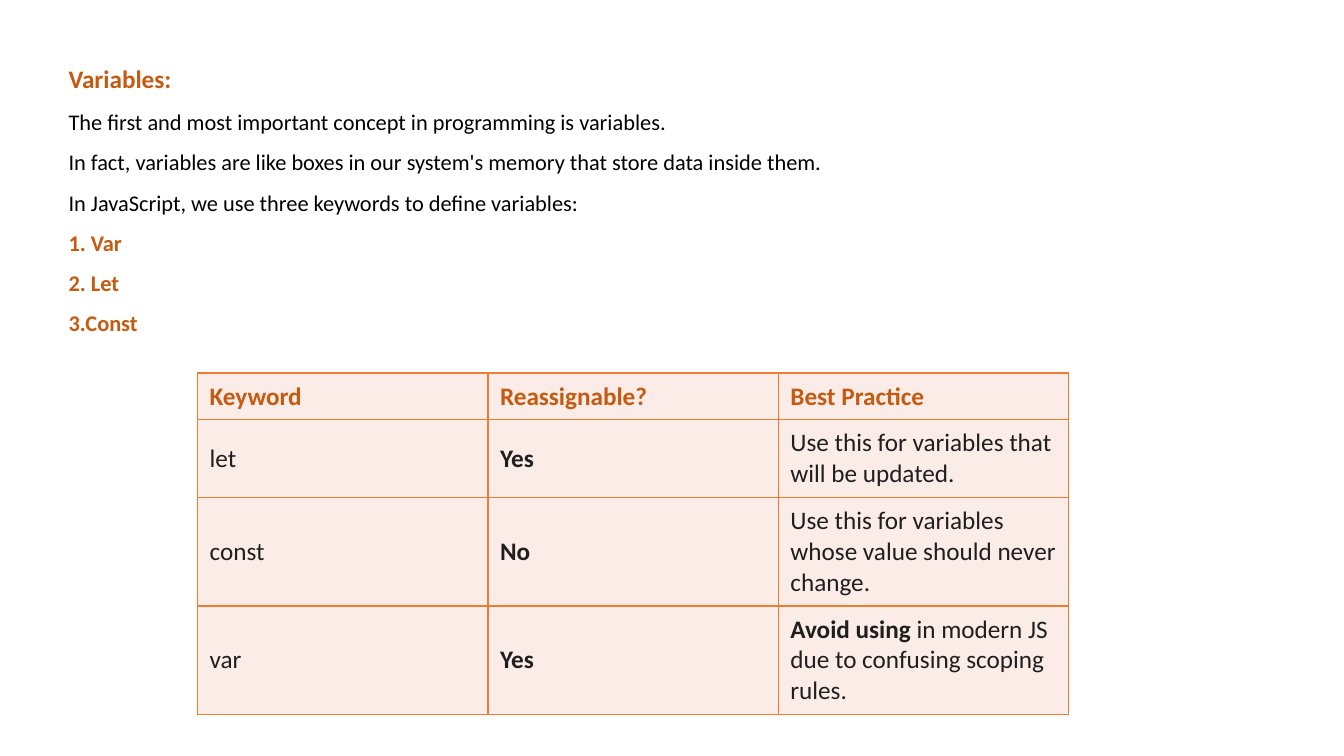
from lxml import etree
from pptx import Presentation
from pptx.dml.color import RGBColor
from pptx.enum.text import MSO_ANCHOR, MSO_AUTO_SIZE, PP_ALIGN
from pptx.oxml.ns import qn
from pptx.util import Inches, Pt

TOP, MIDDLE = MSO_ANCHOR.TOP, MSO_ANCHOR.MIDDLE
NO_FIT = MSO_AUTO_SIZE.NONE
LEFT = PP_ALIGN.LEFT

FONT = "Calibri"
COLORS = {
    "accent": "C55A11",
    "black": "000000",
    "cell_text": "1F1F1F",
    "cell_fill": "FCECE8",
    "border": "ED7D31",
}
TITLE_AND_CONTENT = 1

INTRO = [
    "The first and most important concept in programming is variables.",
    "In fact, variables are like boxes in our system's memory that store data inside them.",
    "In JavaScript, we use three keywords to define variables:",
]
KEYWORDS = ["1. Var", "2. Let", "3.Const"]

HEADER = ["Keyword", "Reassignable?", "Best Practice"]
PRACTICES = [
    ("let", "Yes", ("", "Use this for variables that will be updated.")),
    ("const", "No", ("", "Use this for variables whose value should never change.")),
    ("var", "Yes", ("Avoid using", " in modern JS due to confusing scoping rules.")),
]
COLUMN_WIDTH = 2.88
ROW_HEIGHTS = [0.46, 0.77, 1.07, 1.07]


def style_font(font, size, color, bold=None):
    font.name = FONT
    font.size = Pt(size)
    font.color.rgb = RGBColor.from_string(COLORS[color])
    font.bold = bold


def place_text(holder, top, height, lines, size):
    holder.left, holder.top = Inches(0.58), Inches(top)
    holder.width, holder.height = Inches(11.61), Inches(height)
    frame = holder.text_frame
    frame.word_wrap = True
    frame.auto_size = NO_FIT
    frame.vertical_anchor = TOP
    frame.margin_left = frame.margin_right = Inches(0.1)
    frame.margin_top = frame.margin_bottom = 0
    frame.text = "\n".join(text for text, color, bold in lines)
    for para, (text, color, bold) in zip(frame.paragraphs, lines):
        para.alignment = LEFT
        para.line_spacing = 1.5
        para.space_before = para.space_after = Pt(0)
        style_font(para.font, size, color, bold)
        remove_bullet(para)


def remove_bullet(para):
    properties = para._p.get_or_add_pPr()
    properties.set("marL", "0")
    properties.set("indent", "0")
    bullet = etree.Element(qn("a:buNone"))
    properties.insert_element_before(bullet, "a:tabLst", "a:defRPr", "a:extLst")


def add_borders(cell):
    properties = cell._tc.get_or_add_tcPr()
    for position, side in enumerate(("a:lnL", "a:lnR", "a:lnT", "a:lnB")):
        line = etree.Element(qn(side), w=str(Pt(1)))
        fill = etree.SubElement(line, qn("a:solidFill"))
        etree.SubElement(fill, qn("a:srgbClr"), val=COLORS["border"])
        properties.insert(position, line)


def fill_cell(cell, bold_text, plain_text, color):
    cell.vertical_anchor = MIDDLE
    cell.margin_left = cell.margin_right = Inches(0.12)
    cell.margin_top = cell.margin_bottom = Inches(0.08)
    cell.fill.solid()
    cell.fill.fore_color.rgb = RGBColor.from_string(COLORS["cell_fill"])
    add_borders(cell)
    para = cell.text_frame.paragraphs[0]
    for text, bold in ((bold_text, True), (plain_text, False)):
        if text:
            span = para.add_run()
            span.text = text
            style_font(span.font, 18, color, bold)


def add_keyword_table(page):
    frame = page.shapes.add_table(
        len(ROW_HEIGHTS), len(HEADER), Inches(1.96), Inches(3.7),
        Inches(COLUMN_WIDTH * len(HEADER)), Inches(sum(ROW_HEIGHTS)))
    table = frame.table
    table.horz_banding = False
    for column in table.columns:
        column.width = Inches(COLUMN_WIDTH)
    for row, height in zip(table.rows, ROW_HEIGHTS):
        row.height = Inches(height)
    for column, heading in enumerate(HEADER):
        fill_cell(table.cell(0, column), heading, "", "accent")
    for row, (keyword, reassignable, practice) in enumerate(PRACTICES, 1):
        parts = [("", keyword), (reassignable, ""), practice]
        for column, (bold_text, plain_text) in enumerate(parts):
            fill_cell(table.cell(row, column), bold_text, plain_text, "cell_text")


def main():
    deck = Presentation()
    deck.slide_width, deck.slide_height = Inches(13.33), Inches(7.5)
    page = deck.slides.add_slide(deck.slide_layouts[TITLE_AND_CONTENT])
    title, body = page.placeholders
    place_text(title, 0.48, 0.46, [("Variables:", "accent", True)], 18)
    lines = [(text, "black", False) for text in INTRO]
    lines += [(text, "accent", True) for text in KEYWORDS]
    place_text(body, 0.94, 2.5, lines, 16)
    add_keyword_table(page)
    deck.save("out.pptx")


if __name__ == "__main__":
    main()
